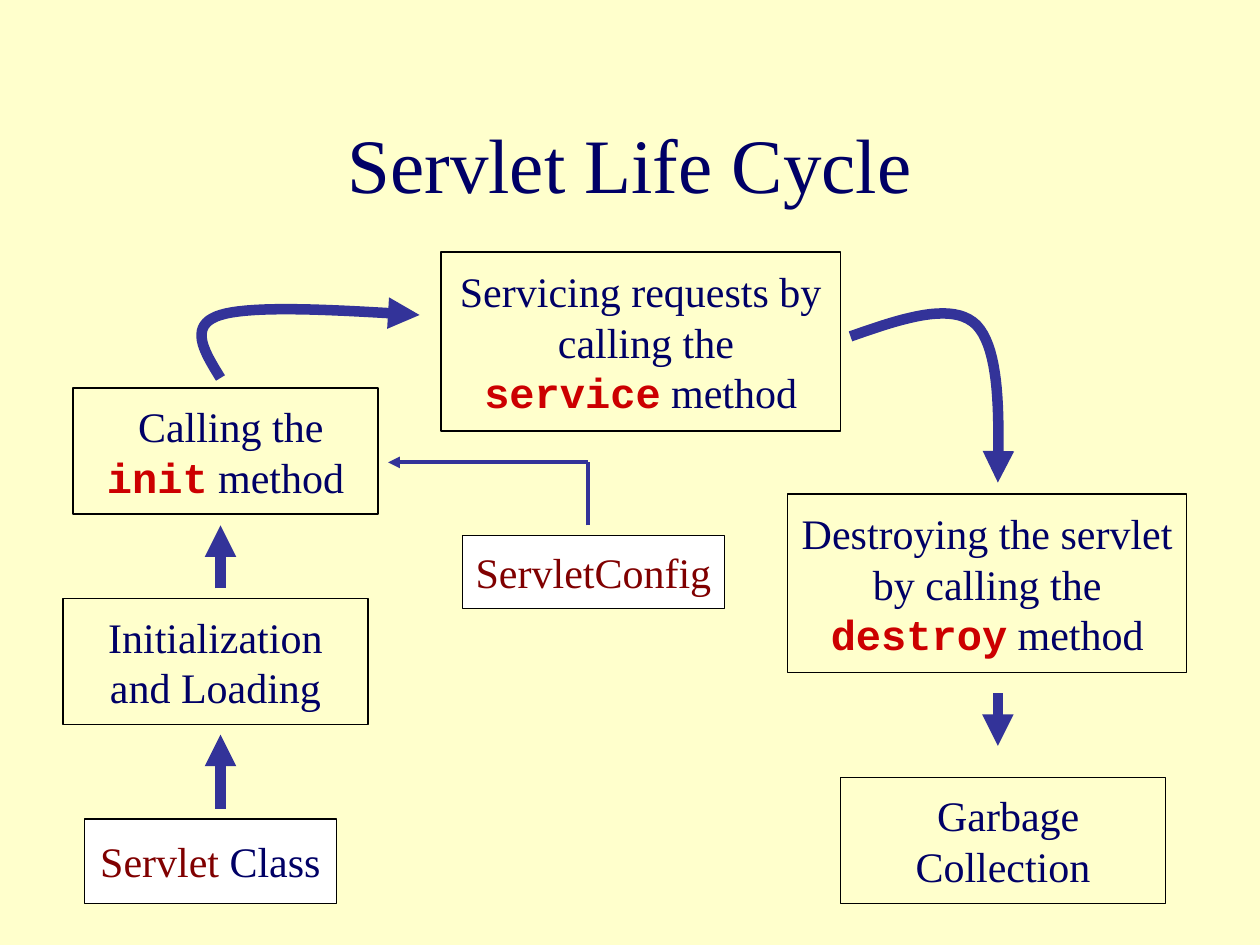
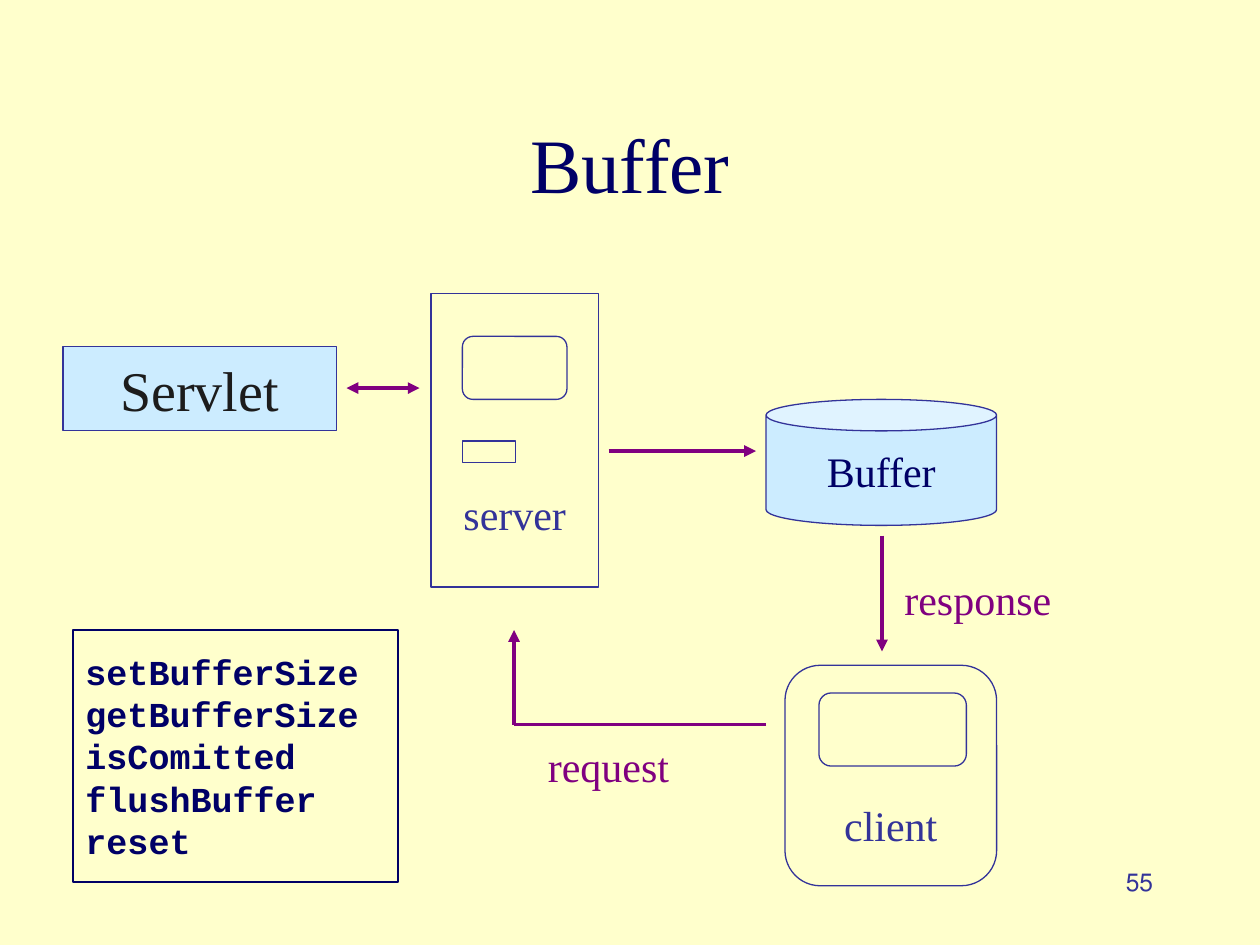
from dataclasses import dataclass

from lxml import etree
from pptx import Presentation
from pptx.dml.color import RGBColor
from pptx.enum import shapes, text
from pptx.oxml.ns import qn
from pptx.util import Inches, Pt

# Shared colours and fonts
CREAM, WHITE, BLACK, SKY = "FFFFCC", "FFFFFF", "000000", "CCECFF"
NAVY, INDIGO, PURPLE = "000066", "333399", "800080"
MAROON, RED, CHARCOAL = "800000", "CC0000", "1C1C1C"
SERIF, MONO = "Times New Roman", "Courier New"
LINE_HEIGHT = 0.39  # one line of 24 point text, in inches

RECTANGLE = shapes.MSO_SHAPE.RECTANGLE
ROUNDED = shapes.MSO_SHAPE.ROUNDED_RECTANGLE
CAN = shapes.MSO_SHAPE.CAN
CENTER, LEFT, RIGHT = text.PP_ALIGN.CENTER, text.PP_ALIGN.LEFT, text.PP_ALIGN.RIGHT

Point = tuple[float, float]


@dataclass(frozen=True)
class Run:
    words: str
    color: str = NAVY
    size: float = 24
    font: str = SERIF
    bold: bool = False


Lines = tuple[tuple[Run, ...], ...]


@dataclass(frozen=True)
class Box:
    left: float
    top: float
    width: float
    height: float
    lines: Lines = ()
    fill: str | None = None
    line: str = INDIGO
    kind: shapes.MSO_SHAPE = RECTANGLE
    align: text.PP_ALIGN = CENTER
    skipped_lines: int = 0


@dataclass(frozen=True)
class Label:
    left: float
    top: float
    width: float
    run: Run
    align: text.PP_ALIGN = LEFT


@dataclass(frozen=True)
class Arrow:
    start: Point
    end: Point
    color: str
    width: float = 2.25
    head: bool = False
    tail: bool = True


@dataclass(frozen=True)
class CurvedArrow:
    start: Point
    segments: tuple[tuple[Point, Point, Point], ...]


def rgb(color: str) -> RGBColor:
    return RGBColor.from_string(color)


def method_line(name: str) -> tuple[Run, ...]:
    return Run(name, RED, font=MONO, bold=True), Run(" method")


# Drawing helpers
def write_lines(frame, lines: Lines, align: text.PP_ALIGN) -> None:
    for index, runs in enumerate(lines):
        paragraph = frame.paragraphs[0] if index == 0 else frame.add_paragraph()
        paragraph.alignment = align
        if align != LEFT:
            paragraph._p.get_or_add_pPr().set("rtl", "1")
        for item in runs:
            run = paragraph.add_run()
            run.text = item.words
            run.font.name, run.font.size = item.font, Pt(item.size)
            run.font.bold = item.bold
            run.font.color.rgb = rgb(item.color)


def add_title(slide, words: str) -> None:
    title = slide.shapes.title
    title.left, title.top = Inches(0.75), Inches(0.67)
    title.width, title.height = Inches(8.5), Inches(1.25)
    frame = title.text_frame
    frame.vertical_anchor = text.MSO_ANCHOR.MIDDLE
    paragraph = frame.paragraphs[0]
    paragraph.alignment = CENTER
    run = paragraph.add_run()
    run.text = words
    run.font.name, run.font.size = SERIF, Pt(44)
    run.font.color.rgb = rgb(NAVY)


def add_box(slide, box: Box) -> None:
    shape = slide.shapes.add_shape(
        box.kind, Inches(box.left), Inches(box.top), Inches(box.width), Inches(box.height)
    )
    shape.shadow.inherit = False
    if box.fill:
        shape.fill.solid()
        shape.fill.fore_color.rgb = rgb(box.fill)
    else:
        shape.fill.background()
    shape.line.color.rgb = rgb(box.line)
    shape.line.width = Pt(0.75)
    frame = shape.text_frame
    frame.word_wrap = box.align == LEFT
    frame.vertical_anchor = text.MSO_ANCHOR.MIDDLE
    frame.margin_top = Inches(0.05 + box.skipped_lines * LINE_HEIGHT)
    write_lines(frame, box.lines, box.align)


def add_label(slide, label: Label) -> None:
    shape = slide.shapes.add_textbox(
        Inches(label.left), Inches(label.top), Inches(label.width), Inches(0.5)
    )
    shape.text_frame.word_wrap = True
    write_lines(shape.text_frame, ((label.run,),), label.align)


def style_line(line, color: str, width: float, head: bool, tail: bool) -> None:
    line.color.rgb = rgb(color)
    line.width = Pt(width)
    properties = line._get_or_add_ln()
    for tag, wanted in (("a:headEnd", head), ("a:tailEnd", tail)):
        if wanted:
            etree.SubElement(properties, qn(tag), type="triangle")


def add_arrow(slide, arrow: Arrow) -> None:
    connector = slide.shapes.add_connector(
        shapes.MSO_CONNECTOR.STRAIGHT,
        *(Inches(value) for value in arrow.start + arrow.end),
    )
    style_line(connector.line, arrow.color, arrow.width, arrow.head, arrow.tail)
    etree.SubElement(connector._element.spPr, qn("a:effectLst"))


def bezier(points: tuple[Point, ...], t: float) -> Point:
    weights = ((1 - t) ** 3, 3 * t * (1 - t) ** 2, 3 * t**2 * (1 - t), t**3)
    x, y = (sum(w * p[axis] for w, p in zip(weights, points)) for axis in (0, 1))
    return x, y


def add_curved_arrow(slide, arrow: CurvedArrow, steps: int = 20) -> None:
    points = [arrow.start]
    for segment in arrow.segments:
        curve = (points[-1], *segment)
        points += [bezier(curve, step / steps) for step in range(1, steps + 1)]
    outline = [(Inches(x), Inches(y)) for x, y in points]
    builder = slide.shapes.build_freeform(*outline[0])
    builder.add_line_segments(outline[1:], close=False)
    shape = builder.convert_to_shape()
    shape.shadow.inherit = False
    shape.fill.background()
    style_line(shape.line, INDIGO, 6, False, True)


DRAWERS = {Box: add_box, Label: add_label, Arrow: add_arrow, CurvedArrow: add_curved_arrow}


def add_slide(presentation, title: str, parts: tuple) -> None:
    slide = presentation.slides.add_slide(presentation.slide_layouts[5])
    add_title(slide, title)
    for part in parts:
        DRAWERS[type(part)](slide, part)


# Servlet life cycle: stages, then the arrows between them
def stage(left: float, top: float, width: float, height: float, *lines, fill: str = CREAM) -> Box:
    return Box(left, top, width, height, lines, fill, BLACK)


LIFE_CYCLE = (
    stage(0.67, 6.5, 2, 0.67, (Run("Servlet", MAROON), Run(" Class")), fill=WHITE),
    stage(0.5, 4.75, 2.42, 1, (Run("Initialization"),), (Run("and Loading"),)),
    stage(0.58, 3.08, 2.42, 1, (Run("Calling the "),), method_line("init")),
    stage(3.5, 2, 3.17, 1.42, (Run("Servicing requests by"),), (Run("calling the "),),
          method_line("service")),
    stage(6.25, 3.92, 3.17, 1.42, (Run("Destroying the servlet"),), (Run(" by calling the "),),
          method_line("destroy")),
    stage(6.67, 6.17, 2.58, 1, (Run("Garbage "),), (Run("Collection"),)),
    stage(3.67, 4.25, 2.08, 0.58, (Run("ServletConfig", MAROON),), fill=WHITE),
    Arrow((1.75, 6.42), (1.75, 5.83), INDIGO, 6),
    Arrow((1.75, 4.67), (1.75, 4.17), INDIGO, 6),
    Arrow((7.92, 5.5), (7.92, 5.92), INDIGO, 6),
    CurvedArrow((1.75, 3), (
        ((1.62, 2.79), (1.49, 2.58), (1.75, 2.5)),
        ((2.01, 2.42), (2.67, 2.46), (3.33, 2.5)),
    )),
    CurvedArrow((6.75, 2.67), (
        ((7.15, 2.53), (7.56, 2.39), (7.75, 2.58)),
        ((7.94, 2.78), (7.93, 3.31), (7.92, 3.83)),
    )),
    Arrow((4.67, 4.17), (4.67, 3.67), INDIGO, tail=False),
    Arrow((4.67, 3.67), (3.08, 3.67), INDIGO),
)

# Buffer: server, client, buffer and the traffic between them
BUFFER_METHODS = ("setBufferSize", "getBufferSize", "isComitted", "flushBuffer", "reset")
BUFFER = (
    Label(7.17, 6.83, 2.08, Run("55", INDIGO, 14), RIGHT),
    Box(0.5, 2.75, 2.17, 0.67, ((Run("Servlet", CHARCOAL, 32),),), SKY),
    Box(3.42, 2.33, 1.33, 2.33, ((Run("server", INDIGO),),), skipped_lines=3),
    Box(3.67, 2.67, 0.83, 0.5, kind=ROUNDED),
    Box(3.67, 3.5, 0.42, 0.17),
    Box(6.08, 3.17, 1.83, 1, ((Run("Buffer"),),), SKY, kind=CAN),
    Box(6.5, 5.5, 1.17, 0.58, kind=ROUNDED),
    Box(6.23, 5.28, 1.68, 1.75, ((Run("client", INDIGO),),), kind=ROUNDED, skipped_lines=2),
    Arrow((4.08, 5.75), (4.08, 5), PURPLE),
    Arrow((6.08, 5.75), (4.08, 5.75), PURPLE, tail=False),
    Arrow((4.83, 3.58), (6, 3.58), PURPLE),
    Arrow((7, 4.25), (7, 5.17), PURPLE),
    Box(0.58, 5, 2.58, 2,
        tuple((Run(name, size=20, font=MONO, bold=True),) for name in BUFFER_METHODS),
        line=NAVY, align=LEFT),
    Arrow((2.75, 3.08), (3.33, 3.08), PURPLE, head=True),
    Label(4.25, 5.83, 1.25, Run("request", PURPLE)),
    Label(7.08, 4.5, 1.5, Run("response", PURPLE)),
)


def main() -> None:
    presentation = Presentation()
    presentation.slide_width, presentation.slide_height = Inches(10), Inches(7.5)
    background = presentation.slide_master.background.fill
    background.solid()
    background.fore_color.rgb = rgb(CREAM)
    add_slide(presentation, "Servlet Life Cycle", LIFE_CYCLE)
    add_slide(presentation, "Buffer", BUFFER)
    presentation.save("out.pptx")


if __name__ == "__main__":
    main()
